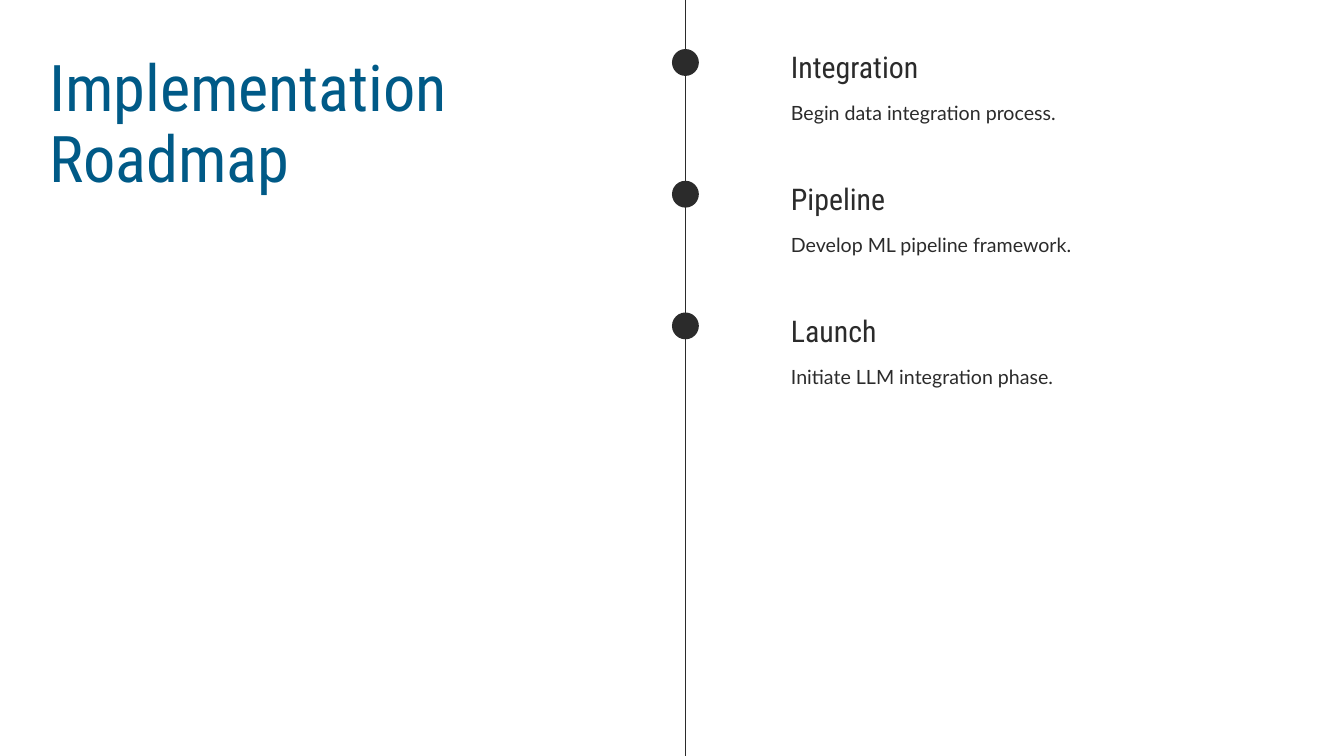
from pptx import Presentation, util as u
from pptx.dml.color import RGBColor
from pptx.enum import shapes, text
from pptx.oxml import parse_xml
from pptx.oxml.ns import nsdecls

COLORS = {"title": "005A87", "ink": "2B2B2B", "background": "FFFFFF"}
MILESTONES = [
    ("Integration", "Begin data integration process."),
    ("Pipeline", "Develop ML pipeline framework."),
    ("Launch", "Initiate LLM integration phase."),
]

deck = Presentation()
deck.slide_width, deck.slide_height = u.Inches(20), u.Inches(11.25)
page = deck.slides.add_slide(deck.slide_layouts[5])
page.background.fill.solid()
page.background.fill.fore_color.rgb = RGBColor.from_string(COLORS["background"])

TITLE_LEFT, AXIS, TEXT_LEFT = u.Inches(0.73), u.Inches(10.2), u.Inches(11.77)
FIRST_ROW, ROW_STEP = u.Inches(0.73), u.Inches(1.96)
DETAIL_DROP = u.Inches(0.72)
DOT = u.Inches(0.4)
TEXT_WIDTH = u.Inches(5.92)


def write(box, wording, font, size, color, spacing):
    frame = box.text_frame
    frame.text = wording
    frame.word_wrap = True
    frame.auto_size = text.MSO_AUTO_SIZE.NONE
    frame.vertical_anchor = text.MSO_ANCHOR.TOP
    frame.margin_left = frame.margin_right = frame.margin_top = frame.margin_bottom = 0
    para = frame.paragraphs[0]
    para.alignment = text.PP_ALIGN.LEFT
    para.line_spacing = u.Pt(spacing)
    span = para.runs[0]
    span.font.name = font
    span.font.size = u.Pt(size)
    span.font.color.rgb = RGBColor.from_string(COLORS[color])


title = page.shapes.title
title.left, title.top = TITLE_LEFT, u.Inches(0.8)
title.width, title.height = u.Inches(5.96), u.Inches(2.13)
write(title, "Implementation Roadmap", "Roboto Condensed", 69, "title", 75.9)

for row, (heading, detail) in enumerate(MILESTONES):
    top = FIRST_ROW + row * ROW_STEP
    dot = page.shapes.add_shape(shapes.MSO_SHAPE.OVAL, AXIS - DOT // 2, top, DOT, DOT)
    dot.shadow.inherit = False
    dot.fill.solid()
    dot.fill.fore_color.rgb = RGBColor.from_string(COLORS["ink"])
    dot.line.fill.background()

    heading_box = page.shapes.add_textbox(TEXT_LEFT, top, TEXT_WIDTH, u.Inches(0.53))
    write(heading_box, heading, "Roboto Condensed", 32, "ink", 38.4)
    detail_box = page.shapes.add_textbox(TEXT_LEFT, top + DETAIL_DROP, TEXT_WIDTH, u.Inches(0.39))
    write(detail_box, detail, "Lato", 21, "ink", 29.4)

timeline = page.shapes.add_connector(
    shapes.MSO_CONNECTOR.STRAIGHT, AXIS, deck.slide_height, AXIS, 0
)
timeline.line.color.rgb = RGBColor.from_string(COLORS["ink"])
timeline.line.width = u.Pt(1.5)
timeline._element.spPr.append(parse_xml(f"<a:effectLst {nsdecls('a')}/>"))

deck.save("out.pptx")
